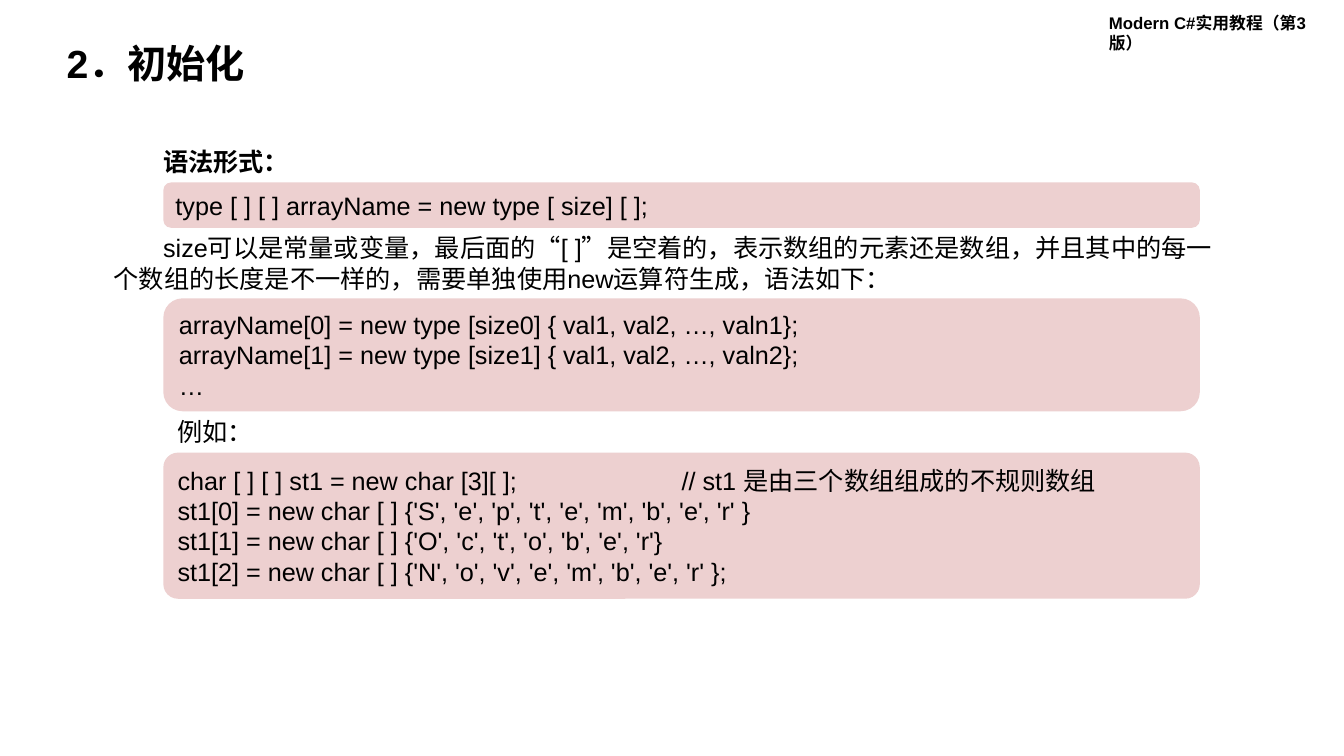
from pptx import Presentation
from pptx.dml.color import RGBColor
from pptx.enum.lang import MSO_LANGUAGE_ID as Language
from pptx.enum.shapes import MSO_SHAPE as Shape
from pptx.enum.text import MSO_ANCHOR as Anchor, MSO_AUTO_SIZE as AutoSize, PP_ALIGN as Align
from pptx.oxml.ns import qn
from pptx.util import Emu, Pt
from lxml.etree import SubElement

EMU_PER_PX = 9144  # 100 px to the inch
BLACK = RGBColor(0x00, 0x00, 0x00)
PINK = RGBColor(0xED, 0xD0, 0xD0)

CODE_LEFT, CODE_WIDTH = 162, 1028
COMMENT_TAB = 500
FIRST_LINE_INDENT = 49


def px(length):
    return Emu(length * EMU_PER_PX)


def write_text(shape, lines, size=18, bold=False, anchor=Anchor.TOP, wrap=True):
    frame = shape.text_frame
    frame.text = "\n".join(lines)
    frame.word_wrap = wrap
    frame.auto_size = AutoSize.NONE
    frame.vertical_anchor = anchor
    font_format = {"name": "Arial", "size": Pt(size), "bold": bold,
                   "language_id": Language.SIMPLIFIED_CHINESE}
    for para in frame.paragraphs:
        para.alignment = Align.LEFT
        for span in para.runs:
            for name, value in font_format.items():
                setattr(span.font, name, value)
            span.font.color.rgb = BLACK
    return frame.paragraphs


def add_title(page, text, left, top, width, height):
    title = page.shapes.title
    place = {"left": left, "top": top, "width": width, "height": height}
    for name, value in place.items():
        setattr(title, name, px(value))
    para = write_text(title, [text], size=28, bold=True, anchor=Anchor.MIDDLE)[0]
    para.line_spacing = 0.9


def add_text(page, text, left, top, width, height, **style):
    box = page.shapes.add_textbox(px(left), px(top), px(width), px(height))
    return write_text(box, [text], **style)[0]


def add_code(page, lines, top, height, corner=0.17):
    """Draw a rounded pink panel holding lines of code."""
    panel = page.shapes.add_shape(Shape.ROUNDED_RECTANGLE, px(CODE_LEFT), px(top),
                                  px(CODE_WIDTH), px(height))
    panel.adjustments[0] = corner
    panel.shadow.inherit = False
    panel.fill.solid()
    panel.fill.fore_color.rgb = PINK
    panel.line.fill.background()
    return write_text(panel, lines, anchor=Anchor.MIDDLE)


def indent_first_line(para, indent):
    properties = para._p.get_or_add_pPr()
    properties.set("marL", "0")
    properties.set("indent", str(px(indent)))


def add_tab_stop(para, position):
    tabs = SubElement(para._p.get_or_add_pPr(), qn("a:tabLst"))
    SubElement(tabs, qn("a:tab"), pos=str(px(position)), algn="l")


def main():
    deck = Presentation()
    deck.slide_width, deck.slide_height = px(1333), px(750)
    page = deck.slides.add_slide(deck.slide_layouts[5])

    add_text(page, "Modern C#实用教程（第3版）", 1090, 8, 244, 30, size=12, bold=True)
    add_title(page, "2．初始化", 56, 39, 459, 52)

    add_text(page, "语法形式：", 152, 140, 146, 40, bold=True, wrap=False)
    add_code(page, ["type [ ] [ ] arrayName = new type [ size] [ ];"], 181, 45)

    explanation = add_text(
        page,
        "size可以是常量或变量，最后面的“[ ]”是空着的，表示数组的元素还是数组，"
        "并且其中的每一个数组的长度是不一样的，需要单独使用new运算符生成，语法如下：",
        103, 226, 1113, 71)
    indent_first_line(explanation, FIRST_LINE_INDENT)
    add_code(page, [
        "arrayName[0] = new type [size0] { val1, val2, …, valn1};",
        "arrayName[1] = new type [size1] { val1, val2, …, valn2};",
        "…",
    ], 296, 112)

    add_text(page, "例如：", 166, 408, 96, 40, wrap=False)
    example = add_code(page, [
        "char [ ] [ ] st1 = new char [3][ ];\t// st1\u00a0是由三个数组组成的不规则数组",
        "st1[0] = new char [ ] {'S', 'e', 'p', 't', 'e', 'm', 'b', 'e', 'r' }",
        "st1[1] = new char [ ] {'O', 'c', 't', 'o', 'b', 'e', 'r'}",
        "st1[2] = new char [ ] {'N', 'o', 'v', 'e', 'm', 'b', 'e', 'r' };",
    ], 449, 145, corner=0.1)
    add_tab_stop(example[0], COMMENT_TAB)

    deck.save("out.pptx")


if __name__ == "__main__":
    main()
